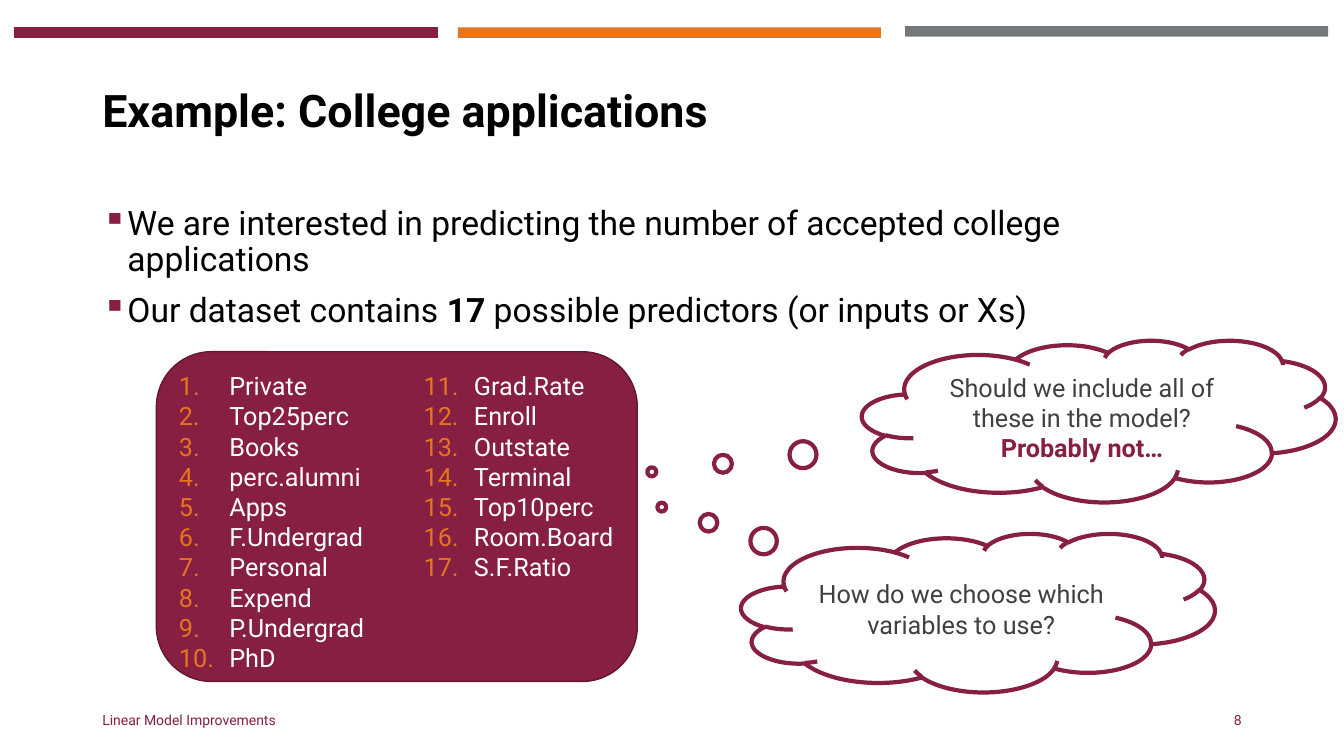
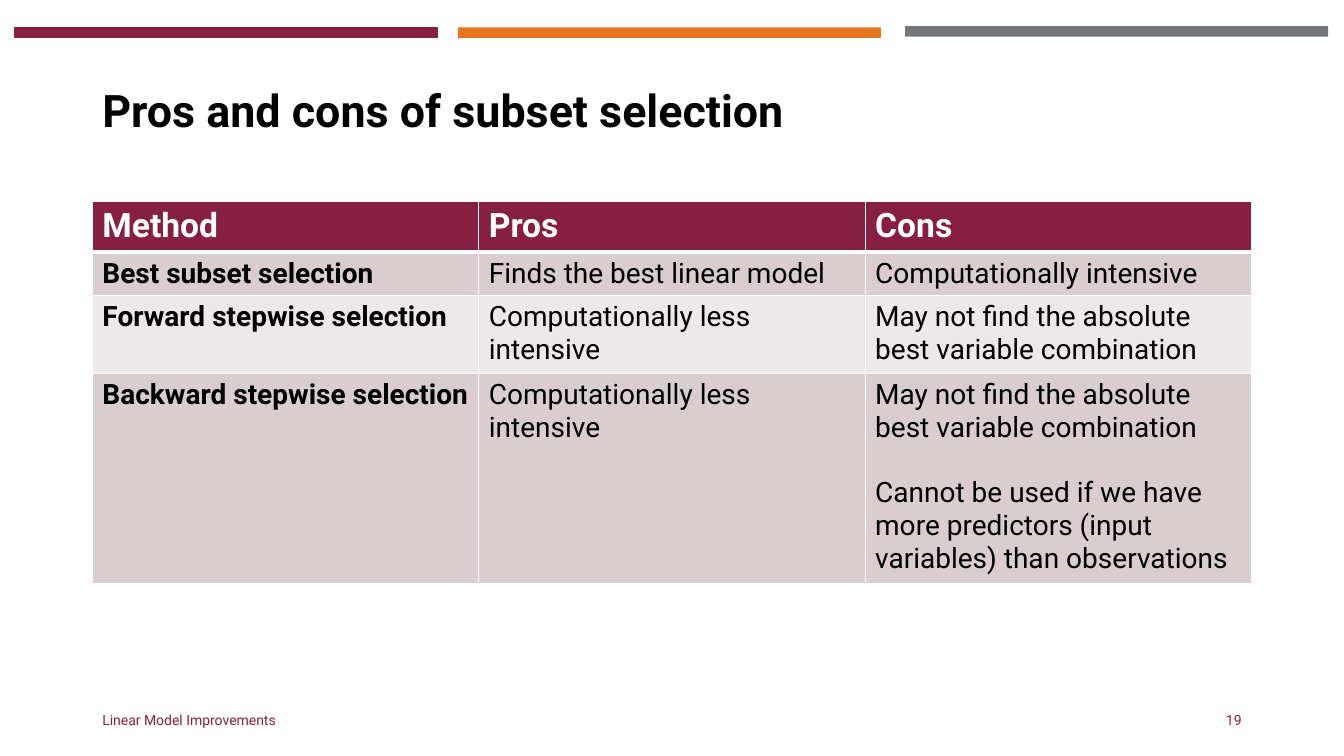
from dataclasses import dataclass
from typing import NamedTuple, Optional

from lxml.etree import SubElement
from pptx import Presentation
from pptx.dml.color import RGBColor
from pptx.enum.shapes import MSO_SHAPE as Preset
from pptx.enum.text import MSO_ANCHOR as Anchor, PP_ALIGN as Align
from pptx.oxml.ns import qn
from pptx.shapes.autoshape import Shape
from pptx.slide import Slide
from pptx.table import _Cell as Cell
from pptx.text.text import TextFrame, _Paragraph as Paragraph
from pptx.util import Emu, Pt

PX = 9525
FONT = "Roboto"
MAROON = RGBColor(0x86, 0x1F, 0x41)
DARK_MAROON = RGBColor(0x63, 0x17, 0x30)
ORANGE = RGBColor(0xE5, 0x75, 0x1F)
GRAY = RGBColor(0x75, 0x78, 0x7B)
CHARCOAL = RGBColor(0x40, 0x40, 0x40)
BLACK = RGBColor(0x00, 0x00, 0x00)
WHITE = RGBColor(0xFF, 0xFF, 0xFF)
ROSE = RGBColor(0xD9, 0xCD, 0xCF)
PALE_ROSE = RGBColor(0xED, 0xE8, 0xE9)


class Box(NamedTuple):
    left: int
    top: int
    width: int
    height: int

    def emu(self) -> list[Emu]:
        return [Emu(length * PX) for length in self]


class Style(NamedTuple):
    size: int
    color: RGBColor
    bold: bool = False


class Segment(NamedTuple):
    text: str
    bold: bool = False


class Bullet(NamedTuple):
    color: RGBColor
    indent: int
    char: str = ""
    start: int = 1


@dataclass(frozen=True)
class Line:
    segments: tuple[Segment, ...]
    style: Style
    bullet: Optional[Bullet] = None
    align: Align = Align.LEFT
    spacing: float = 1.0
    before: float = 0


@dataclass(frozen=True)
class Band:
    box: Box
    color: RGBColor
    outlined: bool = False


@dataclass(frozen=True)
class Cloud:
    box: Box
    tail: tuple[float, float]
    lines: tuple[Line, ...]


@dataclass(frozen=True)
class NumberedColumn:
    left: int
    start: int
    predictors: tuple[str, ...]


@dataclass(frozen=True)
class MethodRow:
    height: int
    fill: RGBColor
    cells: tuple[tuple[str, ...], ...]


TITLE = Style(32, BLACK, True)
BODY = Style(24, BLACK)
PREDICTOR = Style(18, WHITE)
QUESTION = Style(18, CHARCOAL)
ANSWER = Style(18, MAROON, True)
FOOTER = Style(10, MAROON)
HEADING = Style(24, WHITE, True)
METHOD = Style(20, BLACK, True)
FINDING = Style(20, BLACK)
FINDING_GAP = 23.4

BANDS = (
    Band(Box(14, 26, 403, 10), MAROON, True),
    Band(Box(862, 25, 403, 10), GRAY),
    Band(Box(436, 26, 403, 10), ORANGE),
)

PREDICTOR_CARD = Box(149, 335, 458, 314)
PREDICTOR_COLUMNS = (
    NumberedColumn(161, 1, (
        "Private", "Top25perc", "Books", "perc.alumni", "Apps",
        "F.Undergrad", "Personal", "Expend", "P.Undergrad", "PhD",
    )),
    NumberedColumn(394, 11, (
        "Grad.Rate", "Enroll", "Outstate", "Terminal",
        "Top10perc", "Room.Board", "S.F.Ratio",
    )),
)


def line(text: str, style: Style, **options) -> Line:
    return Line((Segment(text),), style, **options)


CLOUDS = (
    Cloud(Box(821, 324, 451, 154), (-0.944, 0.314), (
        line("Should we include all of these in the model?", QUESTION, align=Align.CENTER),
        line("Probably not…", ANSWER, align=Align.CENTER),
    )),
    Cloud(Box(706, 508, 451, 151), (-0.668, -0.666), (
        line("How do we choose which variables to use?", QUESTION, align=Align.CENTER),
    )),
)

LESS_INTENSIVE = "Computationally less intensive"
MAY_MISS_BEST = "May not find the absolute best variable combination"
METHOD_ROWS = (
    MethodRow(47, MAROON, (("Method",), ("Pros",), ("Cons",))),
    MethodRow(41, ROSE, (
        ("Best subset selection",),
        ("Finds the best linear model",),
        ("Computationally intensive",),
    )),
    MethodRow(72, PALE_ROSE, (
        ("Forward stepwise selection",), (LESS_INTENSIVE,), (MAY_MISS_BEST,),
    )),
    MethodRow(197, ROSE, (
        ("Backward stepwise selection",),
        (LESS_INTENSIVE,),
        (MAY_MISS_BEST,
         "Cannot be used if we have more predictors (input variables) than observations"),
    )),
)


def add_bullet(paragraph: Paragraph, bullet: Bullet) -> None:
    properties = paragraph._p.get_or_add_pPr()
    properties.set("marL", str(bullet.indent * PX))
    properties.set("indent", str(-bullet.indent * PX))
    color = SubElement(properties, qn("a:buClr"))
    SubElement(color, qn("a:srgbClr"), val=str(bullet.color))
    if bullet.char:
        SubElement(properties, qn("a:buChar"), char=bullet.char)
    else:
        SubElement(properties, qn("a:buAutoNum"), type="arabicPeriod", startAt=str(bullet.start))


def write(frame: TextFrame, lines: tuple[Line, ...]) -> None:
    for index, content in enumerate(lines):
        paragraph = frame.add_paragraph() if index else frame.paragraphs[0]
        if content.bullet:
            add_bullet(paragraph, content.bullet)
        paragraph.alignment = content.align
        paragraph.line_spacing = content.spacing
        if index:
            paragraph.space_before = Pt(content.before)
        font = paragraph.font
        font.name = FONT
        font.size = Pt(content.style.size)
        font.bold = content.style.bold
        font.color.rgb = content.style.color
        for segment in content.segments:
            run = paragraph.add_run()
            run.text = segment.text
            if segment.bold:
                run.font.bold = True


def add_text(slide: Slide, box: Box, *lines: Line, anchor: Anchor = Anchor.TOP) -> None:
    frame = slide.shapes.add_textbox(*box.emu()).text_frame
    frame.word_wrap = True
    frame.vertical_anchor = anchor
    write(frame, lines)


def add_preset(slide: Slide, preset: Preset, box: Box, fill: RGBColor,
               outline: Optional[RGBColor] = None, weight: float = 1) -> Shape:
    shape = slide.shapes.add_shape(preset, *box.emu())
    shape.shadow.inherit = False
    shape.fill.solid()
    shape.fill.fore_color.rgb = fill
    if outline is None:
        shape.line.fill.background()
    else:
        shape.line.color.rgb = outline
        shape.line.width = Pt(weight)
    return shape


def add_cloud(slide: Slide, cloud: Cloud) -> None:
    shape = add_preset(slide, Preset.CLOUD_CALLOUT, cloud.box, WHITE, MAROON, 3)
    for index, offset in enumerate(cloud.tail):
        shape.adjustments[index] = offset
    shape.text_frame.word_wrap = True
    shape.text_frame.vertical_anchor = Anchor.MIDDLE
    write(shape.text_frame, cloud.lines)


def add_borders(cell: Cell, top: int, bottom: int) -> None:
    properties = cell._tc.get_or_add_tcPr()
    for side, weight in (("L", 1), ("R", 1), ("T", top), ("B", bottom)):
        border = SubElement(properties, qn(f"a:ln{side}"), w=str(Pt(weight)))
        fill = SubElement(border, qn("a:solidFill"))
        SubElement(fill, qn("a:srgbClr"), val=str(WHITE))


def add_method_table(slide: Slide, box: Box, rows: tuple[MethodRow, ...]) -> None:
    columns = len(rows[0].cells)
    table = slide.shapes.add_table(len(rows), columns, *box.emu()).table
    for column in table.columns:
        column.width = Emu(box.width * PX // columns)
    for row_index, row in enumerate(rows):
        table.rows[row_index].height = Emu(row.height * PX)
        for column_index, texts in enumerate(row.cells):
            cell = table.cell(row_index, column_index)
            add_borders(cell, 3 if row_index == 1 else 1, 3 if row_index == 0 else 1)
            cell.fill.solid()
            cell.fill.fore_color.rgb = row.fill
            style = HEADING if row_index == 0 else FINDING if column_index else METHOD
            write(cell.text_frame, tuple(line(text, style, before=FINDING_GAP) for text in texts))


def add_framed_slide(deck: Presentation, title: str, number: int) -> Slide:
    slide = deck.slides.add_slide(deck.slide_layouts[6])
    for band in BANDS:
        add_preset(slide, Preset.RECTANGLE, band.box, band.color,
                   band.color if band.outlined else None, 0.75)
    add_text(slide, Box(88, 38, 1104, 139), line(title, TITLE, spacing=0.9), anchor=Anchor.MIDDLE)
    add_text(slide, Box(88, 667, 432, 38), line("Linear Model Improvements", FOOTER),
             anchor=Anchor.MIDDLE)
    add_text(slide, Box(904, 667, 288, 38), line(str(number), FOOTER, align=Align.RIGHT),
             anchor=Anchor.MIDDLE)
    return slide


def add_applications_slide(deck: Presentation) -> None:
    slide = add_framed_slide(deck, "Example: College applications", 8)
    add_preset(slide, Preset.ROUNDED_RECTANGLE, PREDICTOR_CARD, MAROON, DARK_MAROON)
    statements = (
        (Segment("We are interested in predicting the number of accepted college applications"),),
        (Segment("Our dataset contains "), Segment("17", True),
         Segment(" possible predictors (or inputs or Xs)")),
    )
    square = Bullet(MAROON, 24, "▪")
    add_text(slide, Box(88, 192, 1104, 140), *(
        Line(segments, BODY, square, spacing=0.9, before=10) for segments in statements))
    for column in PREDICTOR_COLUMNS:
        numbering = Bullet(ORANGE, 48, start=column.start)
        add_text(slide, Box(column.left, 348, 267, 300), *(
            line(name, PREDICTOR, bullet=numbering) for name in column.predictors))
    for cloud in CLOUDS:
        add_cloud(slide, cloud)


def add_subset_slide(deck: Presentation) -> None:
    slide = add_framed_slide(deck, "Pros and cons of subset selection", 19)
    height = sum(row.height for row in METHOD_ROWS)
    add_method_table(slide, Box(88, 192, 1104, height), METHOD_ROWS)


def main() -> None:
    deck = Presentation()
    deck.slide_width = Emu(1280 * PX)
    deck.slide_height = Emu(720 * PX)
    add_applications_slide(deck)
    add_subset_slide(deck)
    deck.save("out.pptx")


if __name__ == "__main__":
    main()
